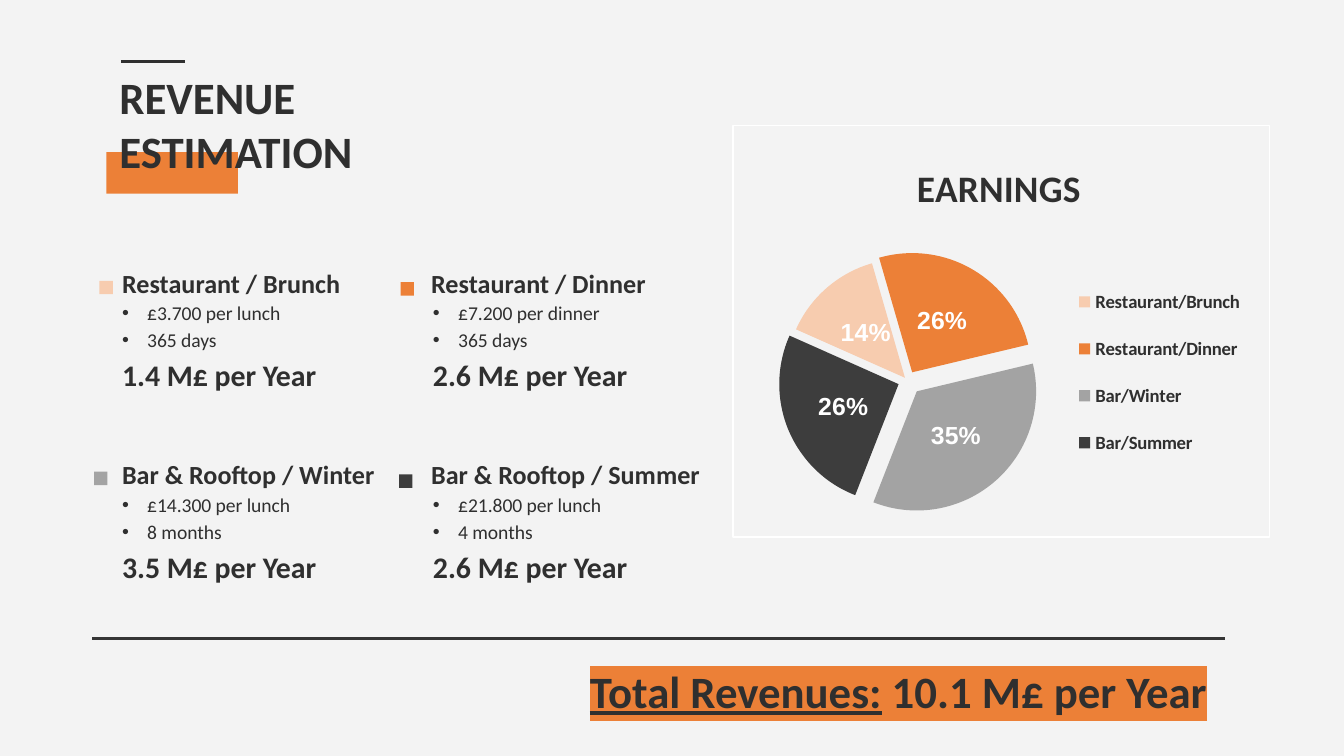
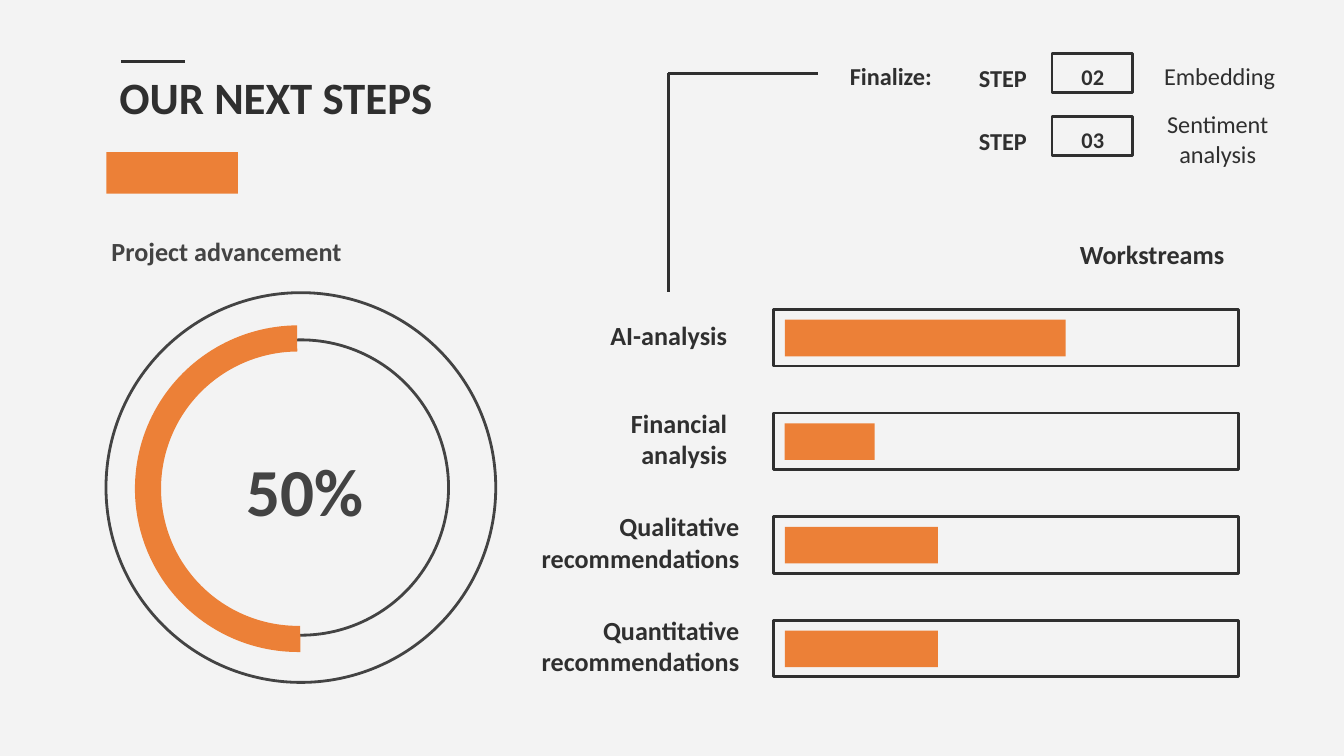
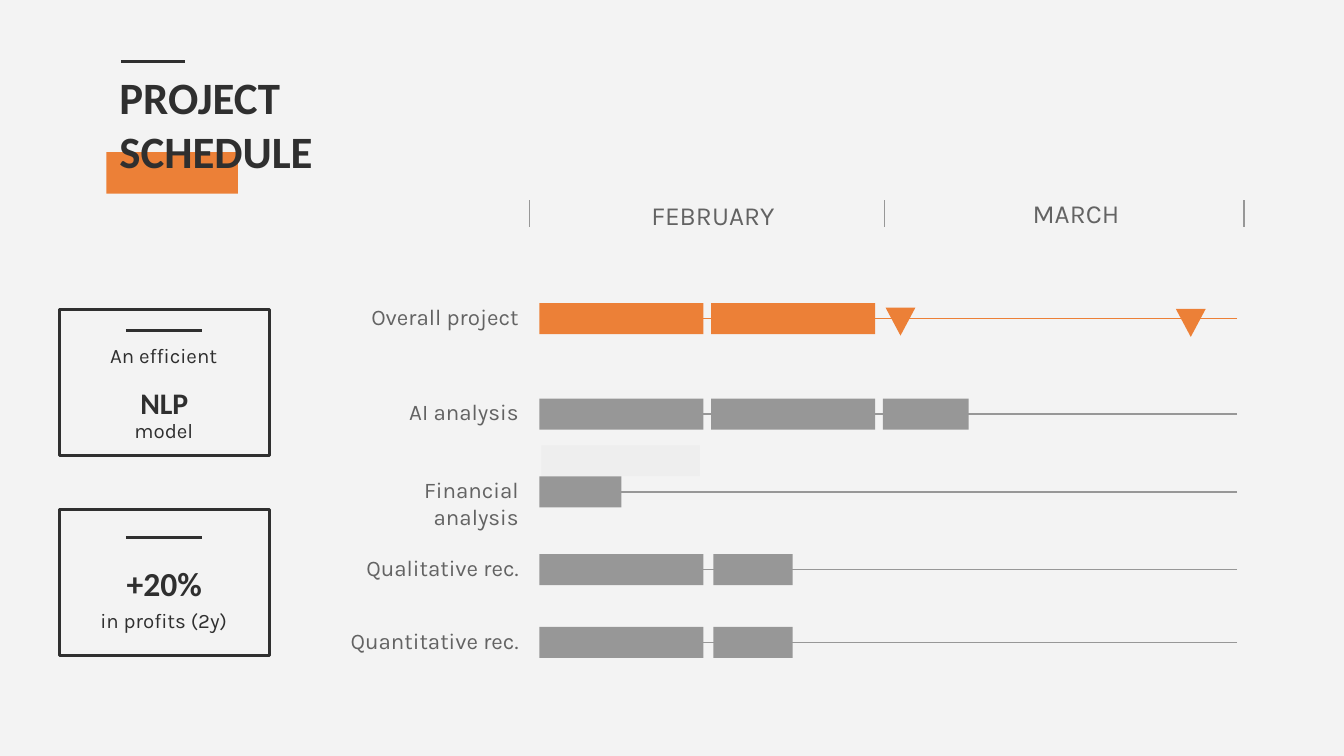
"""Build the revenue, next steps and schedule slides of the project review."""
from dataclasses import dataclass
from typing import Any, NamedTuple

from pptx import Presentation
from pptx import util as u
from pptx.chart import data as chart_data
from pptx.dml import color as dml
from pptx.enum import chart as chart_enum, shapes, text
from pptx.oxml import ns, parse_xml

LEFT, CENTER, RIGHT = text.PP_ALIGN.LEFT, text.PP_ALIGN.CENTER, text.PP_ALIGN.RIGHT
TOP, MIDDLE = text.MSO_ANCHOR.TOP, text.MSO_ANCHOR.MIDDLE
SHAPE = shapes.MSO_SHAPE


class Style(NamedTuple):
    size: float
    color: str
    bold: bool = True
    font: str = "Calibri"


@dataclass(frozen=True)
class Theme:
    paper: str = "F3F3F3"
    ink: str = "2F2F2F"
    charcoal: str = "434343"
    rule: str = "353535"
    orange: str = "EC8037"
    peach: str = "F7CCAF"
    silver: str = "A3A3A3"
    coal: str = "3D3D3D"
    grey: str = "979797"
    ghost: str = "EEEEEE"
    white: str = "FFFFFF"
    stroke: float = 1.5
    hairline: float = 0.75
    title: Style = Style(24, "2F2F2F")
    heading: Style = Style(14, "2F2F2F")
    detail: Style = Style(10.5, "2F2F2F", False)
    amount: Style = Style(16, "2F2F2F")
    profit: Style = Style(18, "2F2F2F")
    progress_heading: Style = Style(14, "434343")
    progress: Style = Style(36, "434343")
    step: Style = Style(13, "2F2F2F")
    step_number: Style = Style(12, "2F2F2F")
    step_name: Style = Style(13, "2F2F2F", False)
    caption: Style = Style(11, "2F2F2F", False, "Karla")
    month: Style = Style(14, "636363", False, "Karla")
    task: Style = Style(12, "636363", False, "Karla")
    chart_title: Style = Style(20, "2F2F2F")
    legend: Style = Style(10, "2F2F2F")
    percent: Style = Style(13.3, "FFFFFF", True, "Arial")


THEME = Theme()


class Box(NamedTuple):
    left: float
    top: float
    width: float
    height: float


class Point(NamedTuple):
    x: float
    y: float


class Stream(NamedTuple):
    name: str
    income: str
    period: str
    yearly: str
    color: str
    swatch: Point


class Slice(NamedTuple):
    name: str
    value: int
    color: str
    explosion: int


class Workstream(NamedTuple):
    name: str
    label_right: float
    progress: float


class Step(NamedTuple):
    number: str
    name: str
    name_left: float


class Task(NamedTuple):
    name: str
    axis: float
    color: str
    bars: tuple[tuple[float, float], ...]


class Card(NamedTuple):
    frame_top: float
    rule_top: float
    headline: str
    headline_top: float
    style: Style
    captions: tuple[tuple[str, float], ...]


STREAMS = (
    Stream("Restaurant / Brunch", "£3.700 per lunch", "365 days", "1.4 M£ per Year",
           THEME.peach, Point(53.3, 150.5)),
    Stream("Restaurant / Dinner", "£7.200 per dinner", "365 days", "2.6 M£ per Year",
           THEME.orange, Point(214.6, 151.2)),
    Stream("Bar & Rooftop / Winter", "£14.300 per lunch", "8 months", "3.5 M£ per Year",
           THEME.silver, Point(50.4, 252.7)),
    Stream("Bar & Rooftop / Summer", "£21.800 per lunch", "4 months", "2.6 M£ per Year",
           THEME.coal, Point(213.8, 254.2)),
)
SLICES = (
    Slice("Restaurant/Brunch", 14, THEME.peach, 3),
    Slice("Restaurant/Dinner", 26, THEME.orange, 8),
    Slice("Bar/Winter", 35, THEME.silver, 12),
    Slice("Bar/Summer", 26, THEME.coal, 8),
)
WORKSTREAMS = (
    Workstream("AI-analysis", 396.7, 150.5),
    Workstream("Financial analysis", 396.7, 48.2),
    Workstream("Qualitative recommendations", 403.2, 82),
    Workstream("Quantitative recommendations", 403.2, 82),
)
STEPS = (Step("02", "Embedding", 601.5), Step("03", "Sentiment analysis", 600.5))
FIRST, SECOND, SECOND_HALF = (289, 87.8), (381, 87.8), (382.2, 42.5)
TASKS = (
    Task("Overall project", 170.6, THEME.orange, (FIRST, SECOND)),
    Task("AI analysis", 221.8, THEME.grey, (FIRST, SECOND, (473, 46))),
    Task("Financial analysis", 263.5, THEME.grey, ((289, 44),)),
    Task("Qualitative rec.", 305.1, THEME.grey, (FIRST, SECOND_HALF)),
    Task("Quantitative rec.", 344.1, THEME.grey, (FIRST, SECOND_HALF)),
)
CARDS = (
    Card(165.6, 177.1, "NLP", 201, THEME.amount, (("An efficient", 177.1), ("model", 217.4))),
    Card(272.9, 288, "+20%", 297.4, THEME.profit, (("in profits (2y)", 319),)),
)


def rgb(value: str) -> dml.RGBColor:
    """Turn a hex string into a colour."""
    return dml.RGBColor.from_string(value)


def apply_format(target: Any, values: dict[str, Any]) -> None:
    """Set every named attribute on the target."""
    for name, value in values.items():
        setattr(target, name, value)


def apply_style(font: Any, style: Style) -> None:
    """Give a font the size, face and colour of a style."""
    apply_format(font, {"size": u.Pt(style.size), "bold": style.bold, "name": style.font})
    font.color.rgb = rgb(style.color)


def points(values: tuple[float, ...]) -> list[u.Length]:
    """Convert numbers to point lengths."""
    return [u.Pt(value) for value in values]


def add_run(paragraph: Any, content: str, style: Style) -> Any:
    """Append a styled run to a paragraph."""
    run = paragraph.add_run()
    run.text = content
    apply_style(run.font, style)
    return run


def add_frame(slide: Any, box: Box, anchor: Any = TOP, top_inset: float = 7.2,
              wrap: bool = True) -> Any:
    """Add an empty text box and return its text frame."""
    frame = slide.shapes.add_textbox(*points(box)).text_frame
    apply_format(frame, {
        "word_wrap": wrap, "vertical_anchor": anchor,
        "margin_left": u.Pt(7.2), "margin_right": u.Pt(7.2),
        "margin_top": u.Pt(top_inset), "margin_bottom": u.Pt(7.2),
    })
    return frame


def add_label(slide: Any, box: Box, content: str, style: Style, align: Any = LEFT,
              **frame_options: Any) -> Any:
    """Add a one-paragraph text box and return its paragraph."""
    paragraph = add_frame(slide, box, **frame_options).paragraphs[0]
    paragraph.alignment = align
    add_run(paragraph, content, style)
    return paragraph


def add_block(slide: Any, box: Box, fill: str = "", line: str = "",
              kind: Any = SHAPE.RECTANGLE, rotation: float = 0) -> Any:
    """Add a filled or outlined preset shape."""
    shape = slide.shapes.add_shape(kind, *points(box))
    shape.shadow.inherit = False
    shape.rotation = rotation
    if fill:
        shape.fill.solid()
        shape.fill.fore_color.rgb = rgb(fill)
    else:
        shape.fill.background()
    if line:
        shape.line.color.rgb = rgb(line)
        shape.line.width = u.Pt(THEME.stroke)
    else:
        shape.line.fill.background()
    return shape


def add_rule(slide: Any, start: Point, end: Point, color: str = THEME.ink,
             width: float = THEME.stroke) -> None:
    """Add a straight line without a shadow."""
    connector = slide.shapes.add_connector(
        shapes.MSO_CONNECTOR.STRAIGHT, *points((*start, *end)))
    connector.line.color.rgb = rgb(color)
    connector.line.width = u.Pt(width)
    connector._element.spPr.append(parse_xml(f"<a:effectLst {ns.nsdecls('a')}/>"))


def add_titled_slide(presentation: Any, title: str) -> Any:
    """Add a blank slide with the accent band, short rule and title."""
    slide = presentation.slides.add_slide(presentation.slide_layouts[6])
    add_block(slide, Box(57, 81.5, 70.5, 22.3), THEME.orange)
    add_rule(slide, Point(64.8, 33), Point(99.2, 33))
    add_label(slide, Box(56.9, 30.2, 192, 74), title, THEME.title)
    return slide


def add_bullet(paragraph: Any) -> None:
    """Turn a paragraph into a bulleted line."""
    properties = paragraph._p.get_or_add_pPr()
    properties.set("marL", str(u.Pt(13.5)))
    properties.set("indent", str(u.Pt(-13.5)))
    for markup in (f"<a:buClr {{}}><a:srgbClr val='{THEME.ink}'/></a:buClr>",
                   "<a:buFont {} typeface='Arial'/>", "<a:buChar {} char='•'/>"):
        properties.append(parse_xml(markup.format(ns.nsdecls("a"))))


def add_stream(slide: Any, stream: Stream, column: int, row: int) -> None:
    """Add one revenue stream with its swatch, heading and details."""
    left = 58.3 + 165.6 * column
    add_label(slide, Box(left, 136 + 102.3 * row, 164, 28), stream.name, THEME.heading)
    add_block(slide, Box(*stream.swatch, 7.2, 7.2), stream.color)
    frame = add_frame(slide, Box(left + column, 161.7 + 103 * row, 158.4, 46), MIDDLE)
    lines = ((stream.income, THEME.detail), (stream.period, THEME.detail),
             (stream.yearly, THEME.amount))
    for index, (content, style) in enumerate(lines):
        paragraph = frame.add_paragraph() if index else frame.paragraphs[0]
        if style is THEME.detail:
            add_bullet(paragraph)
        paragraph.line_spacing = 1.15
        add_run(paragraph, content, style)


def manual_layout(left: float, top: float, width: float = 0, height: float = 0,
                  inner: bool = False) -> Any:
    """Build a chart layout element from fractions of the chart area."""
    target = '<c:layoutTarget val="inner"/>' if inner else ""
    modes = '<c:xMode val="edge"/><c:yMode val="edge"/>'
    size = f'<c:w val="{width}"/><c:h val="{height}"/>' if width else ""
    return parse_xml(
        f'<c:layout {ns.nsdecls("c")}><c:manualLayout>{target}{modes}'
        f'<c:x val="{left}"/><c:y val="{top}"/>{size}</c:manualLayout></c:layout>')


def place(parent: Any, layout: Any, previous: str = "") -> None:
    """Replace the layout of a chart part, after the named child if given."""
    for old in parent.findall(ns.qn("c:layout")):
        parent.remove(old)
    if previous:
        parent.find(ns.qn(previous)).addnext(layout)
    else:
        parent.insert(0, layout)


def add_earnings_chart(slide: Any) -> None:
    """Add the exploded pie of earnings by stream."""
    data = chart_data.CategoryChartData()
    data.categories = [item.name for item in SLICES]
    data.add_series("Series 1", [item.value for item in SLICES])
    chart = slide.shapes.add_chart(chart_enum.XL_CHART_TYPE.PIE,
                                   *points((392.4, 67, 288, 221)), data).chart
    apply_style(chart.font, Style(10, THEME.white, False, "Arial"))
    chart.has_title = True
    add_run(chart.chart_title.text_frame.paragraphs[0], "EARNINGS", THEME.chart_title)
    chart.has_legend = True
    apply_format(chart.legend, {"position": chart_enum.XL_LEGEND_POSITION.RIGHT,
                                "include_in_layout": False})
    apply_style(chart.legend.font, THEME.legend)

    plot = chart.plots[0]
    plot.vary_by_categories = True
    plot.has_data_labels = True
    apply_format(plot.data_labels, {
        "show_percentage": True, "show_value": False, "number_format": "0%",
        "number_format_is_linked": False,
        "position": chart_enum.XL_LABEL_POSITION.CENTER,
    })
    apply_style(plot.data_labels.font, THEME.percent)
    for index, item in enumerate(SLICES):
        fill = plot.series[0].points[index].format.fill
        fill.solid()
        fill.fore_color.rgb = rgb(item.color)
    for item, node in zip(SLICES, plot._element.iter(ns.qn("c:dPt"))):
        node.find(ns.qn("c:spPr")).addprevious(
            parse_xml(f'<c:explosion {ns.nsdecls("c")} val="{item.explosion}"/>'))

    space = chart._chartSpace
    for angle in plot._element.findall(ns.qn("c:firstSliceAng")):
        plot._element.remove(angle)
    plot._element.append(parse_xml(f'<c:firstSliceAng {ns.nsdecls("c")} val="294"/>'))
    place(space.chart.plotArea, manual_layout(0.1, 0.33, 0.45, 0.58, True))
    place(chart.chart_title._element, manual_layout(0.33, 0.07), "c:tx")
    place(chart.legend._element, manual_layout(0.63, 0.34, 0.33, 0.52), "c:legendPos")
    space.chart.addnext(parse_xml(
        f'<c:spPr {ns.nsdecls("c", "a")}><a:noFill/><a:ln w="{u.Pt(THEME.hairline)}">'
        f'<a:solidFill><a:srgbClr val="{THEME.white}"/></a:solidFill></a:ln></c:spPr>'))


def build_revenue(presentation: Any) -> None:
    """Build the revenue estimation slide."""
    slide = add_titled_slide(presentation, "REVENUE ESTIMATION")
    for index, stream in enumerate(STREAMS):
        add_stream(slide, stream, index % 2, index // 2)
    add_earnings_chart(slide)
    total = add_label(slide, Box(308.9, 352.1, 355.7, 36), "Total Revenues:",
                      THEME.title, top_inset=3.6)
    total.runs[0].font.underline = True
    add_run(total, " 10.1 M£ per Year", THEME.title)
    for run in total.runs:
        run._r.rPr.find(ns.qn("a:latin")).addprevious(parse_xml(
            f'<a:highlight {ns.nsdecls("a")}><a:srgbClr val="{THEME.orange}"/></a:highlight>'))
    add_rule(slide, Point(49.5, 342), Point(656.5, 342), THEME.rule)


def build_next_steps(presentation: Any) -> None:
    """Build the next steps slide."""
    slide = add_titled_slide(presentation, "OUR NEXT STEPS")
    add_label(slide, Box(501.8, 121, 161.3, 30.2), "Workstreams", THEME.heading, RIGHT,
              anchor=MIDDLE)
    for index, stream in enumerate(WORKSTREAMS):
        top = 165.8 + 55.5 * index
        add_label(slide, Box(stream.label_right - 122.4 if index > 1 else 293.7, top + 1,
                             122.4 if index > 1 else 103, 28),
                  stream.name, THEME.heading, RIGHT, anchor=MIDDLE, top_inset=4.3)
        add_block(slide, Box(414.2, top, 249.3, 30.4), line=THEME.ink)
        add_block(slide, Box(420.4, top + 5.5, stream.progress, 19.6), THEME.orange)

    add_label(slide, Box(52.6, 119.5, 157.7, 29.5), "Project advancement",
              THEME.progress_heading, anchor=MIDDLE)
    for inset in (0, 25.3):
        size = 208.8 - 2 * inset
        add_block(slide, Box(56.8 + inset, 156.8 + inset, size, size),
                  line=THEME.charcoal, kind=SHAPE.OVAL)
    arc = add_block(slide, Box(72.3, 174.3, 175, 175), THEME.orange,
                    kind=SHAPE.BLOCK_ARC, rotation=270)
    for index, value in enumerate((107.53, 215.76, 0.08)):
        arc.adjustments[index] = value
    add_label(slide, Box(121.7, 236.9, 83.5, 50.4), "50%", THEME.progress, CENTER,
              anchor=MIDDLE)

    corner = Point(358, 39.3)
    add_rule(slide, corner, Point(438.3, corner.y))
    add_rule(slide, corner, Point(corner.x, 156.6))
    add_label(slide, Box(425.4, 28, 103.7, 28), "Finalize:", THEME.step, CENTER,
              anchor=MIDDLE, top_inset=4.3)
    for index, step in enumerate(STEPS):
        top = 28.6 + 33.8 * index
        add_block(slide, Box(563.6, top, 43, 21), line=THEME.ink)
        add_label(slide, Box(567.8, top - 3.4, 35.3, 31.7), step.number, THEME.step_number,
                  CENTER, anchor=MIDDLE)
        add_label(slide, Box(517.3, top + 1.6, 44.6, 23), "STEP", THEME.step,
                  top_inset=3.6, wrap=False)
        add_label(slide, Box(step.name_left, top - 0.6, 103.7, 28), step.name,
                  THEME.step_name, CENTER, anchor=MIDDLE, top_inset=4.3)


def build_schedule(presentation: Any) -> None:
    """Build the project schedule slide."""
    slide = add_titled_slide(presentation, "PROJECT SCHEDULE")
    for card in CARDS:
        add_block(slide, Box(31.7, card.frame_top, 112.6, 78.5), line=THEME.ink)
        add_rule(slide, Point(67.5, card.rule_top), Point(108.2, card.rule_top))
        add_label(slide, Box(39.8, card.headline_top, 96.5, 29.5), card.headline,
                  card.style, CENTER, anchor=MIDDLE)
        for content, top in card.captions:
            add_label(slide, Box(43.8, top, 88, 20), content, THEME.caption, CENTER)

    for tick in (283.8, 473.7, 666.5):
        add_rule(slide, Point(tick, 107.2), Point(tick, 121.6), THEME.grey, THEME.hairline)
    for month, left, top in (("FEBRUARY", 338, 99.4), ("MARCH", 532.5, 98.4)):
        add_label(slide, Box(left, top, 88, 41.8), month, THEME.month, CENTER)
    add_block(slide, Box(290, 238.6, 85, 16.5), THEME.ghost)
    for task in TASKS:
        add_rule(slide, Point(662.8, task.axis), Point(290, task.axis), task.color,
                 THEME.hairline)
        for left, width in task.bars:
            add_block(slide, Box(left, task.axis - 8.2, width, 16.6), task.color)
        add_label(slide, Box(174, task.axis - 15.5, 111, 36), task.name, THEME.task, RIGHT)
    for left, top in ((474.4, 164.8), (629.9, 165.5)):
        add_block(slide, Box(left, top, 16, 15), THEME.orange,
                  kind=SHAPE.ISOSCELES_TRIANGLE, rotation=180)


def main() -> None:
    """Create the presentation and save it."""
    presentation = Presentation()
    apply_format(presentation, {"slide_width": u.Pt(720), "slide_height": u.Pt(405)})
    background = presentation.slide_master.background.fill
    background.solid()
    background.fore_color.rgb = rgb(THEME.paper)
    for build in (build_revenue, build_next_steps, build_schedule):
        build(presentation)
    presentation.save("out.pptx")


if __name__ == "__main__":
    main()
